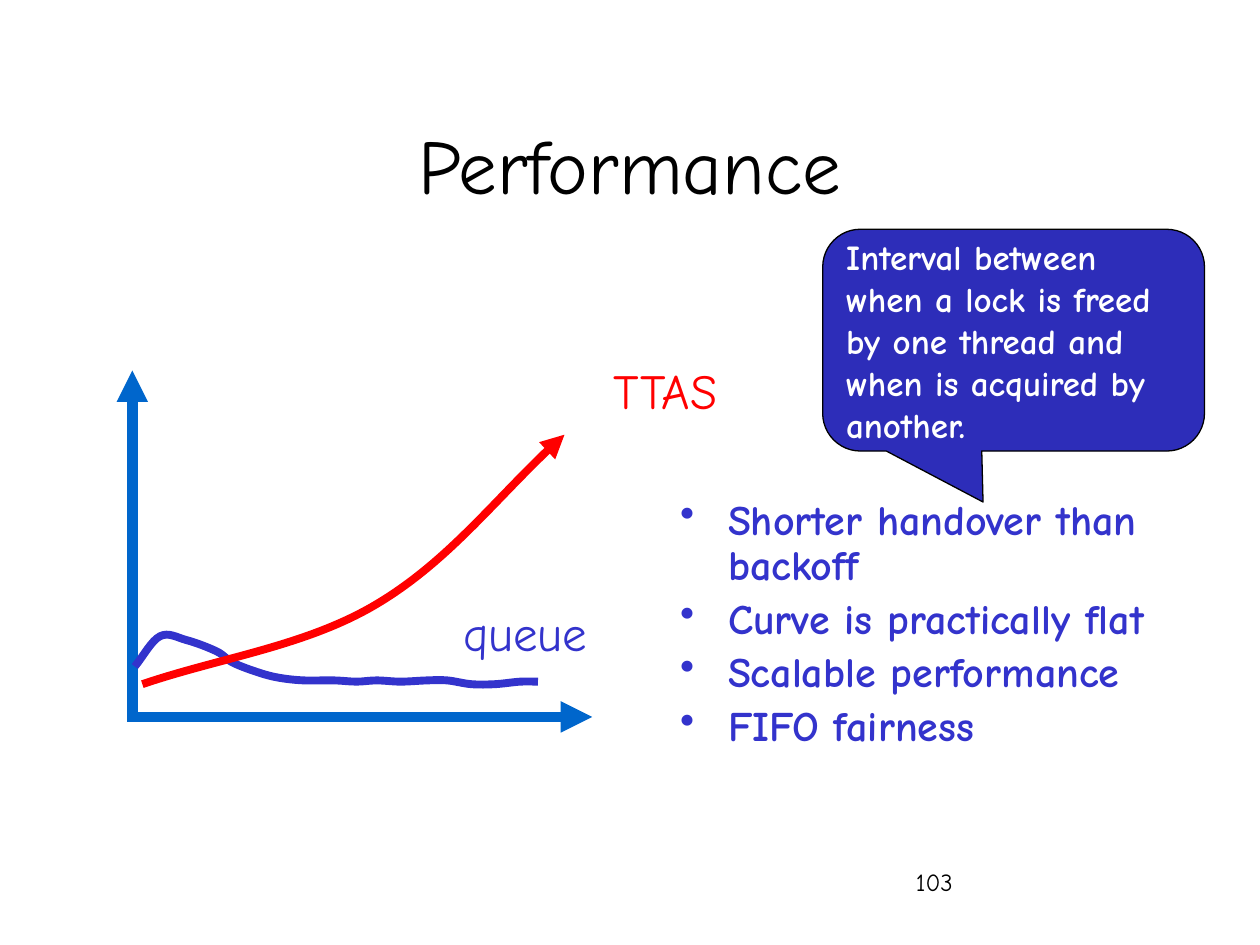
from lxml.etree import SubElement
from pptx import Presentation
from pptx.dml.color import RGBColor
from pptx.enum.shapes import MSO_CONNECTOR, MSO_SHAPE
from pptx.enum.text import MSO_ANCHOR, MSO_AUTO_SIZE, PP_ALIGN
from pptx.oxml.ns import qn
from pptx.util import Inches, Pt

FONT = "Comic Neue"
BLACK, WHITE, RED = "000000", "FFFFFF", "FF0000"
INDIGO, AXIS_BLUE, CALLOUT_BLUE = "3333CC", "0066CC", "2D2DB9"

TITLE = "Performance"
PAGE_NUMBER = "103"
BENEFITS = [
    "Shorter handover than backoff",
    "Curve is practically flat",
    "Scalable performance",
    "FIFO fairness",
]
CALLOUT_LINES = [
    "Interval between",
    "when a lock is freed",
    "by one thread and",
    "when is acquired by",
    "another.",
]
CALLOUT_ADJUSTMENTS = (-0.08, 0.73, 0.17)
AXES = [((1.05, 5.73), (1.05, 2.94)), ((1.05, 5.69), (4.7, 5.69))]
CURVE_LABELS = [
    ("queue", (3.53, 4.73, 1.23, 0.57), INDIGO),
    ("TTAS", (4.51, 2.81, 1.28, 0.57), RED),
]
QUEUE_KNOTS = [
    (1.07, 5.29), (1.27, 5.05), (1.48, 5.08), (1.72, 5.17), (1.85, 5.26),
    (2.06, 5.34), (2.22, 5.38), (2.41, 5.4), (2.65, 5.4), (2.83, 5.41),
    (2.99, 5.4), (3.18, 5.41), (3.39, 5.4), (3.55, 5.4), (3.74, 5.43),
    (3.93, 5.43), (4.13, 5.41), (4.27, 5.41),
]
TTAS_KNOTS = [(1.13, 5.43), (2.98, 4.8), (4.48, 3.45)]


def color(value):
    return RGBColor.from_string(value)


def fill_text(shape, lines, size, hue, bold=False, align=PP_ALIGN.LEFT,
              anchor=MSO_ANCHOR.TOP, wrap=True):
    frame = shape.text_frame
    frame.text = "\n".join(lines)
    frame.word_wrap = wrap
    frame.vertical_anchor = anchor
    for para in frame.paragraphs:
        para.alignment = align
        for span in para.runs:
            span.font.name = FONT
            span.font.size = Pt(size)
            span.font.bold = bold
            span.font.color.rgb = color(hue)
    return frame


def add_text(page, place, lines, size, hue, **style):
    box = page.shapes.add_textbox(*map(Inches, place))
    return fill_text(box, lines, size, hue, **style)


def style_line(shape, hue, width, arrow=False):
    shape.line.color.rgb = color(hue)
    shape.line.width = Pt(width)
    if arrow:
        SubElement(shape.line._get_or_add_ln(), qn("a:tailEnd"), type="triangle")


def add_axis(page, start, end):
    axis = page.shapes.add_connector(
        MSO_CONNECTOR.STRAIGHT, *map(Inches, start + end))
    style_line(axis, AXIS_BLUE, 6, arrow=True)
    SubElement(axis._element.spPr, qn("a:effectLst"))


def spline_points(knots):
    def mirror(pivot, point):
        return tuple(2 * p - q for p, q in zip(pivot, point))

    def shift(point, before, after, factor):
        return tuple(p + (a - b) * factor
                     for p, b, a in zip(point, before, after))

    padded = [mirror(knots[0], knots[1]), *knots, mirror(knots[-1], knots[-2])]
    points = []
    for before, start, end, after in zip(padded, padded[1:], padded[2:], padded[3:]):
        points += [shift(start, before, end, 1 / 6),
                   shift(end, start, after, -1 / 6), end]
    return points


def add_curve(page, knots, hue, arrow=False):
    builder = page.shapes.build_freeform(*knots[0], scale=Inches(1) / 1.0)
    builder = page.shapes.build_freeform(*map(Inches, knots[0]))
    builder.add_line_segments(
        [tuple(map(Inches, point)) for point in spline_points(knots)], close=False)
    curve = builder.convert_to_shape()
    outline = next(curve._element.iter(qn("a:path")))
    segments = outline.findall(qn("a:lnTo"))
    for first in range(0, len(segments), 3):
        bezier = SubElement(outline, qn("a:cubicBezTo"))
        for segment in segments[first:first + 3]:
            bezier.append(segment[0])
            outline.remove(segment)
    curve.fill.background()
    curve.shadow.inherit = False
    style_line(curve, hue, 4.5, arrow)


def add_benefits(page):
    frame = add_text(page, (5.3, 3.91, 4.57, 2.39), BENEFITS, 24, INDIGO, bold=True)
    for index, para in enumerate(frame.paragraphs):
        para.line_spacing = 0.9
        para.space_before = Pt(4.8 if index else 0)
        properties = para._p.get_or_add_pPr()
        properties.set("marL", str(Inches(0.38)))
        properties.set("indent", str(-Inches(0.38)))
        SubElement(properties, qn("a:buChar"), char="•")


def add_callout(page):
    callout = page.shapes.add_shape(
        MSO_SHAPE.ROUNDED_RECTANGULAR_CALLOUT, *map(Inches, (6.53, 1.82, 3.03, 1.76)))
    for index, value in enumerate(CALLOUT_ADJUSTMENTS):
        callout.adjustments[index] = value
    callout.shadow.inherit = False
    callout.fill.solid()
    callout.fill.fore_color.rgb = color(CALLOUT_BLUE)
    style_line(callout, BLACK, 0.75)
    fill_text(callout, CALLOUT_LINES, 20, WHITE, bold=True,
              anchor=MSO_ANCHOR.MIDDLE, wrap=False)


def main():
    deck = Presentation()
    deck.slide_width, deck.slide_height = Inches(10), Inches(7.5)
    page = deck.slides.add_slide(deck.slide_layouts[6])
    add_text(page, (7.17, 6.83, 2.08, 0.5), [PAGE_NUMBER], 14, BLACK)
    add_text(page, (0.75, 0.67, 8.5, 1.25), [TITLE], 44, BLACK,
             align=PP_ALIGN.CENTER, anchor=MSO_ANCHOR.MIDDLE)
    add_benefits(page)
    for start, end in AXES:
        add_axis(page, start, end)
    add_curve(page, QUEUE_KNOTS, INDIGO)
    for label, place, hue in CURVE_LABELS:
        frame = add_text(page, place, [label], 28, hue,
                         align=PP_ALIGN.RIGHT, wrap=False)
        frame.auto_size = MSO_AUTO_SIZE.SHAPE_TO_FIT_TEXT
    add_curve(page, TTAS_KNOTS, RED, arrow=True)
    add_callout(page)
    deck.save("out.pptx")


if __name__ == "__main__":
    main()
